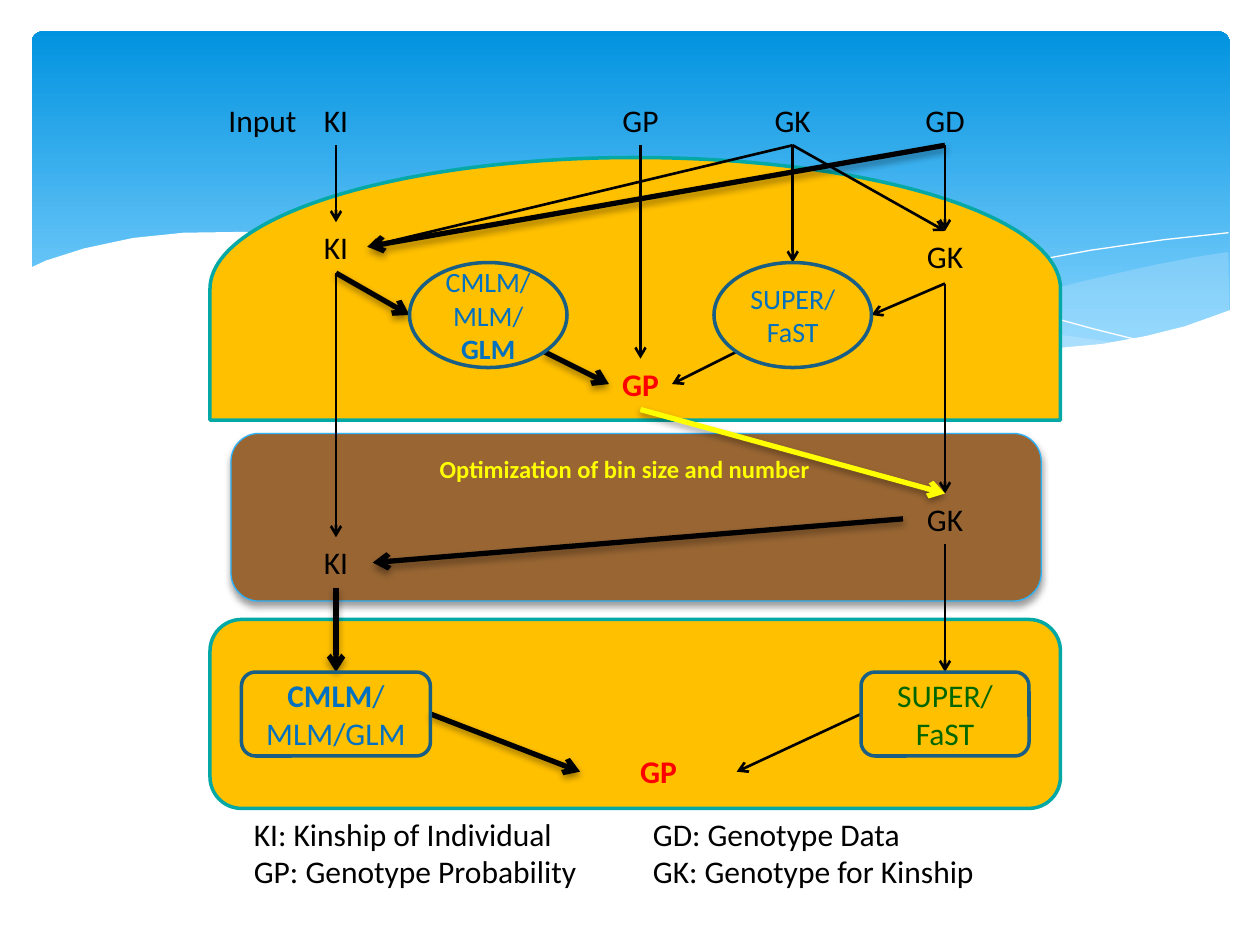
from pptx import Presentation
from pptx.dml.color import RGBColor
from pptx.enum.shapes import MSO_CONNECTOR, MSO_SHAPE
from pptx.enum.text import MSO_ANCHOR, PP_ALIGN
from pptx.oxml import parse_xml
from pptx.oxml.ns import nsdecls, qn
from pptx.util import Pt
from lxml.etree import SubElement

BLACK = RGBColor(0x00, 0x00, 0x00)
WHITE = RGBColor(0xFF, 0xFF, 0xFF)
RED = RGBColor(0xFF, 0x00, 0x00)
YELLOW = RGBColor(0xFF, 0xFF, 0x00)
BREAD = RGBColor(0xFF, 0xC0, 0x00)
CRUST = RGBColor(0x04, 0xA8, 0xA4)
FILLING = RGBColor(0x99, 0x66, 0x33)
FILLING_EDGE = RGBColor(0x2B, 0xB4, 0xFC)
METHOD_EDGE = RGBColor(0x19, 0x5E, 0x84)
METHOD_BLUE = RGBColor(0x00, 0x70, 0xC0)
METHOD_GREEN = RGBColor(0x00, 0x66, 0x00)
SKY_LIGHT = RGBColor(0x83, 0xD3, 0xFE)
SKY_DARK = RGBColor(0x02, 0x93, 0xE0)
WAVE = RGBColor(0xC6, 0xE7, 0xFC)

# Column centres of the four kinds of data, and the bottom of the input row
KI, GP, GK, GD = 192, 366, 453, 540
INPUT_BOTTOM = 83

RIGHT_WAVE = [(702, 144), (682.5, 147), (662, 151), (641.5, 155.5), (620, 160.5),
              (580, 170.5), (542, 178.5), (508, 185), (476, 191), (508, 195),
              (545, 198.5), (578, 200), (608, 199), (634, 196.5), (657.5, 192.5),
              (678.5, 186.5), (702.5, 178)]
BROAD_WAVE = [(643, 196.5), (603, 191), (558, 183), (508, 173), (453, 160), (420, 152),
              (389, 146), (361, 141), (318, 136), (274, 134), (236, 134.5),
              (206, 137.5), (246, 143), (291, 152), (353, 167), (407, 178.5),
              (456, 188), (500, 194.5), (539, 198.5), (574, 200), (610, 199.5)]
FALLING_CURVE = [(222.5, 140.5), (236, 138), (261, 136), (289, 134.5), (324, 135),
                 (367, 138), (419, 144), (479, 153), (523, 162.5), (572, 173.5),
                 (625, 188), (653, 195)]
RISING_CURVE = [(441, 185), (470, 177), (518, 165), (580, 151), (623.5, 143),
                (665, 137), (702, 133)]
WHITE_WAVE = [(16.5, 153.5), (26, 149), (48, 142), (76, 136), (105, 133), (139, 132.5),
              (180, 134), (228, 139.5), (263, 145.5), (322, 158.5), (381, 172),
              (434, 183), (481, 191), (523, 196), (571, 199), (603, 199),
              (630, 196.5), (655, 192), (677, 186.5), (703.5, 177), (703.5, 237),
              (16.5, 237)]


def set_shadow(element, visible):
    """Give the element the soft drop shadow, or an empty effect list."""
    shadow = ('<a:outerShdw blurRad="50800" dist="25400" dir="5400000" rotWithShape="0">'
              '<a:srgbClr val="000000"><a:alpha val="38000"/></a:srgbClr>'
              '</a:outerShdw>') if visible else ""
    element.spPr.append(parse_xml(f'<a:effectLst {nsdecls("a")}>{shadow}</a:effectLst>'))


def add_block(slide, kind, box, fill=None, line=None, weight=2, shadow=False):
    block = slide.shapes.add_shape(kind, *map(Pt, box))
    if fill is None:
        block.fill.background()
    else:
        block.fill.solid()
        block.fill.fore_color.rgb = fill
    if line is None:
        block.line.fill.background()
    else:
        block.line.color.rgb = line
        block.line.width = Pt(weight)
    set_shadow(block._element, shadow)
    return block


def add_wave(slide, points, fill=None, opacity=100):
    """Draw a filled wave, or a thin white curve when there is no fill."""
    start, *rest = [(Pt(x), Pt(y)) for x, y in points]
    builder = slide.shapes.build_freeform(*start)
    builder.add_line_segments(rest, close=fill is not None)
    wave = builder.convert_to_shape()
    wave.shadow.inherit = False
    if fill is None:
        wave.fill.background()
        wave.line.color.rgb = WHITE
        wave.line.width = Pt(0.75)
        return
    wave.line.fill.background()
    wave.fill.solid()
    wave.fill.fore_color.rgb = fill
    if opacity < 100:
        colour = wave._element.spPr.find(qn("a:solidFill"))[0]
        SubElement(colour, qn("a:alpha"), val=str(opacity * 1000))


def add_runs(paragraph, runs, size, colour):
    """Add (text, bold) runs to the paragraph."""
    for text, bold in runs:
        run = paragraph.add_run()
        run.text = text
        run.font.name = "Calibri"
        run.font.size = Pt(size)
        run.font.bold = bold
        run.font.color.rgb = colour


def fill_text(frame, lines, size, colour, align=PP_ALIGN.CENTER):
    frame.word_wrap = True
    for index, runs in enumerate(lines):
        paragraph = frame.add_paragraph() if index else frame.paragraphs[0]
        paragraph.alignment = align
        add_runs(paragraph, runs, size, colour)


def add_label(slide, text, center, top, colour=BLACK, bold=False, size=18, width=54):
    label = slide.shapes.add_textbox(Pt(center - width / 2), Pt(top), Pt(width), Pt(29))
    fill_text(label.text_frame, [[(text, bold)]], size, colour)


def add_legend(slide, left, entries):
    legend = slide.shapes.add_textbox(Pt(left), Pt(462), Pt(264), Pt(54))
    fill_text(legend.text_frame, [[(entry, False)] for entry in entries], 18, BLACK,
              PP_ALIGN.LEFT)


def add_method(slide, kind, box, lines, size, colour, inset=None):
    method = add_block(slide, kind, box, line=METHOD_EDGE)
    frame = method.text_frame
    frame.vertical_anchor = MSO_ANCHOR.MIDDLE
    if inset is not None:
        frame.margin_left = frame.margin_right = Pt(inset)
        frame.margin_top = frame.margin_bottom = Pt(inset)
    fill_text(frame, lines, size, colour)


def add_arrow(slide, start, end, colour=BLACK, main_route=False):
    """Draw an arrow; the main route is thick and has a shadow."""
    arrow = slide.shapes.add_connector(MSO_CONNECTOR.STRAIGHT, *map(Pt, start + end))
    arrow.line.color.rgb = colour
    arrow.line.width = Pt(3 if main_route else 1.5)
    SubElement(arrow.line._get_or_add_ln(), qn("a:tailEnd"), type="arrow")
    set_shadow(arrow._element, main_route)


def add_background(slide):
    sky = add_block(slide, MSO_SHAPE.ROUNDED_RECTANGLE, (18, 18, 684.7, 194.4))
    sky.adjustments[0] = 0.034
    sky.fill.gradient()
    sky.fill.gradient_angle = 90
    for stop, position, colour in zip(sky.fill.gradient_stops, (0.1, 1),
                                      (SKY_LIGHT, SKY_DARK)):
        stop.position = position
        stop.color.rgb = colour
    add_wave(slide, RIGHT_WAVE, WAVE, 29)
    add_wave(slide, BROAD_WAVE, WAVE, 40)
    add_wave(slide, FALLING_CURVE)
    add_wave(slide, RISING_CURVE)
    add_wave(slide, WHITE_WAVE, WHITE)


def add_sandwich(slide):
    rounded = MSO_SHAPE.ROUNDED_RECTANGLE
    add_block(slide, rounded, (132, 247.7, 463, 95.8), FILLING, FILLING_EDGE, 0.75, True)
    top_bread = add_block(slide, MSO_SHAPE.FLOWCHART_DELAY, (288, -78, 150, 486),
                          BREAD, CRUST)
    top_bread.rotation = 270
    add_block(slide, rounded, (120, 354, 486, 108), BREAD, CRUST)


def add_labels(slide):
    add_label(slide, "Input", 150, 54, width=60)
    for text, center in (("KI", KI), ("GP", GP), ("GK", GK), ("GD", GD)):
        add_label(slide, text, center, 54)
    for text, center, top in (("KI", KI, 127), ("GK", GD, 132),
                              ("GK", GD, 282), ("KI", KI, 307)):
        add_label(slide, text, center, top)
    for center, top in ((GP, 205), (376.3, 426)):
        add_label(slide, "GP", center, top, RED, True)
    add_label(slide, "Optimization of bin size and number", 357, 256, YELLOW, True,
              14, 282)
    add_legend(slide, 138, ("KI: Kinship of Individual", "GP: Genotype Probability"))
    add_legend(slide, 366, ("GD: Genotype Data", "GK: Genotype for Kinship"))


def add_arrows(slide):
    for start, end in (
            ((KI, INPUT_BOTTOM), (KI, 127)), ((GP, INPUT_BOTTOM), (GP, 205)),
            ((GK, INPUT_BOTTOM), (GK, 150)), ((GD, INPUT_BOTTOM), (GD, 132)),
            ((GK, INPUT_BOTTOM), (210, 141)), ((GK, INPUT_BOTTOM), (GD, 132)),
            ((KI, 156), (KI, 307)), ((GD, 162), (GD, 282)), ((GD, 311), (GD, 384)),
            ((GD, 162), (498, 180)), ((421, 201), (384, 219.5)), ((492, 408), (421, 441))):
        add_arrow(slide, start, end)
    for start, end in (
            ((GD, INPUT_BOTTOM), (210, 141)), ((KI, 156), (234, 180)),
            ((311, 201), (348, 219.5)), ((516, 296.5), (213, 321.5)),
            ((KI, 336), (KI, 384)), ((246, 408), (331.5, 441))):
        add_arrow(slide, start, end, main_route=True)
    add_arrow(slide, (GP, 234), (GD, 282), YELLOW, True)


def add_methods(slide):
    super_fast = [[("SUPER/", False)], [("FaST", False)]]
    add_method(slide, MSO_SHAPE.OVAL, (234, 150, 90, 60),
               [[("CMLM/", False)], [("MLM/", False), ("GLM", True)]], 16, METHOD_BLUE, 0)
    add_method(slide, MSO_SHAPE.OVAL, (408, 150, 90, 60), super_fast, 16, METHOD_BLUE, 0)
    add_method(slide, MSO_SHAPE.ROUNDED_RECTANGLE, (138, 384, 108, 48),
               [[("CMLM", True), ("/", False)], [("MLM/GLM", False)]], 18, METHOD_BLUE)
    add_method(slide, MSO_SHAPE.ROUNDED_RECTANGLE, (492, 384, 96, 48), super_fast, 18,
               METHOD_GREEN)


def main():
    presentation = Presentation()
    presentation.slide_width, presentation.slide_height = Pt(720), Pt(540)
    slide = presentation.slides.add_slide(presentation.slide_layouts[6])
    for add_part in (add_background, add_sandwich, add_labels, add_arrows, add_methods):
        add_part(slide)
    presentation.save("out.pptx")


if __name__ == "__main__":
    main()
